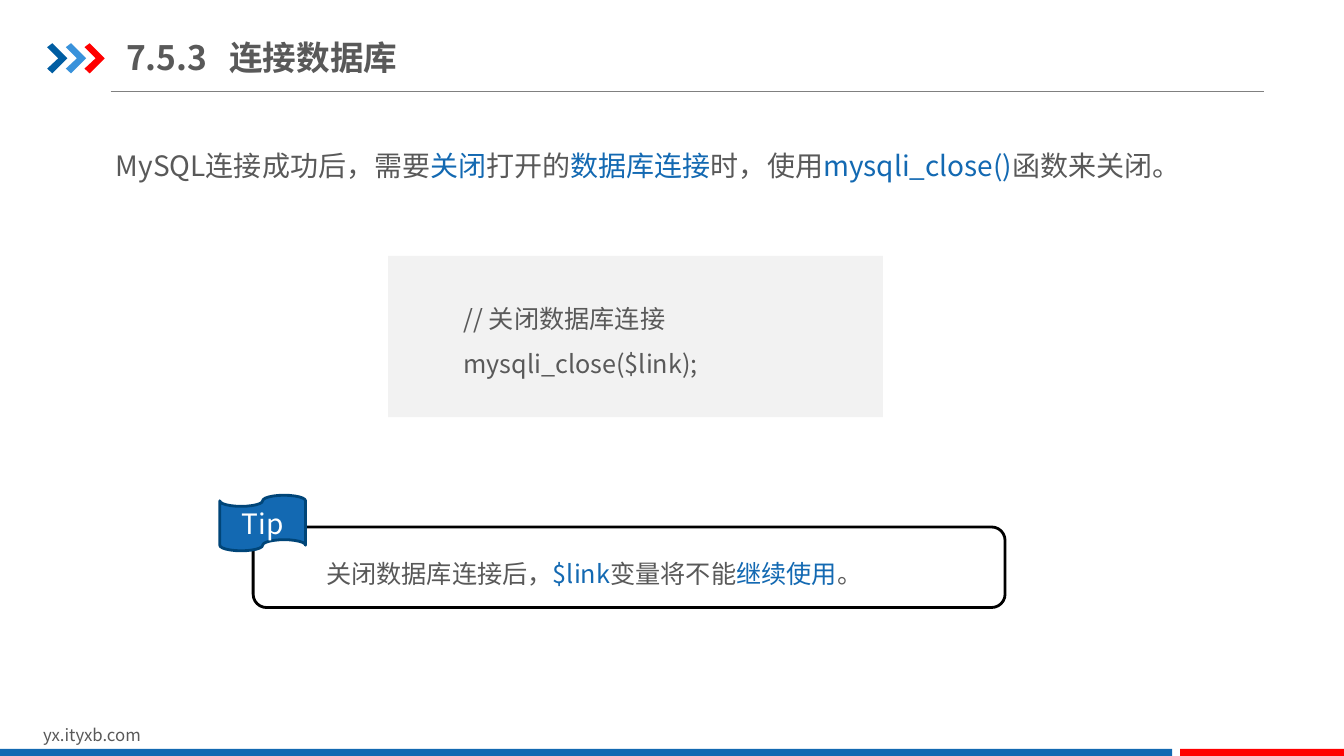
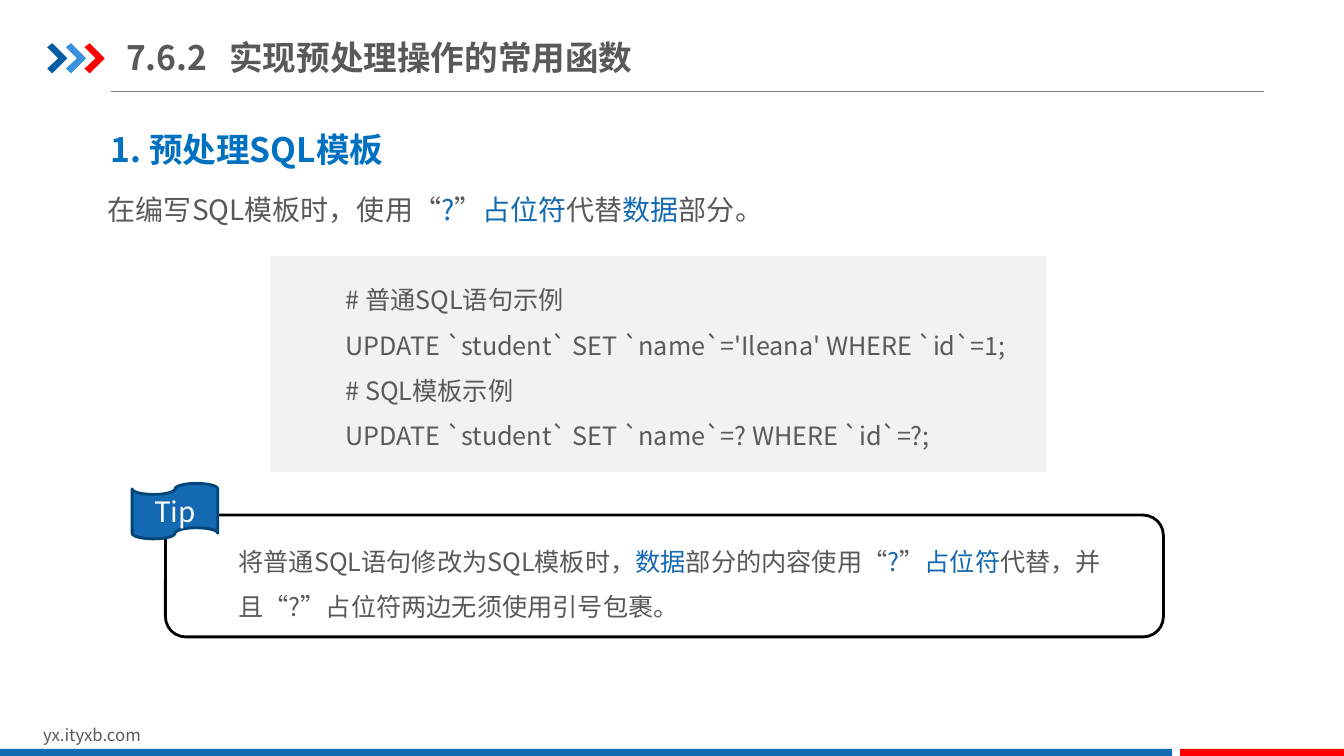
from dataclasses import dataclass
from lxml import etree
from pptx import Presentation
from pptx.dml.color import RGBColor
from pptx.enum.shapes import MSO_CONNECTOR, MSO_SHAPE
from pptx.enum.text import MSO_ANCHOR, MSO_AUTO_SIZE, PP_ALIGN
from pptx.oxml.ns import qn
from pptx.util import Cm, Pt


@dataclass(frozen=True)
class Theme:
    font: str = "Noto Sans CJK SC"
    text: str = "595959"
    accent: str = "1369B2"
    heading: str = "0070C0"
    navy: str = "005DA2"
    sky: str = "3992DB"
    red: str = "FF0000"
    panel: str = "F2F2F2"
    rule: str = "808080"
    tip_line: str = "000000"
    flag_line: str = "004578"
    white: str = "FFFFFF"
    title_size: int = 24
    body_size: int = 20
    code_size: int = 18
    footer_size: int = 12


@dataclass(frozen=True)
class Box:
    left: float
    top: float
    width: float
    height: float

    def lengths(self):
        return [Cm(value) for value in (self.left, self.top, self.width, self.height)]


THEME = Theme()
SLIDE_WIDTH, SLIDE_HEIGHT = 33.87, 19.05
LINE_HEIGHT, TEXT_PADDING = 1.16, 0.25
CODE_INDENT = 1.65
CHEVRON = [(0, 0.1), (0.13, 0), (0.51, 0.38), (0.13, 0.76), (0, 0.64), (0.28, 0.38)]


def rgb(colour):
    return RGBColor.from_string(colour)


def style_para(para, size, colour=THEME.text, bold=False, spacing=1.0):
    para.line_spacing = spacing
    font = para.font
    font.size, font.bold, font.name = Pt(size), bold, THEME.font
    font.color.rgb = rgb(colour)
    latin = para._p.pPr.find(qn("a:defRPr")).find(qn("a:latin"))
    east_asian = etree.Element(qn("a:ea"))
    east_asian.set("typeface", THEME.font)
    latin.addnext(east_asian)


def write_parts(para, parts):
    for index, part in enumerate(parts):
        span = para.add_run()
        span.text = part
        if index % 2:
            span.font.color.rgb = rgb(THEME.accent)


def add_text(page, box, lines, size, indent=0, **style):
    frame = page.shapes.add_textbox(*box.lengths()).text_frame
    frame.word_wrap = True
    for index, parts in enumerate(lines):
        para = frame.add_paragraph() if index else frame.paragraphs[0]
        if indent:
            para._p.get_or_add_pPr().set("indent", str(Cm(indent)))
        write_parts(para, parts)
        style_para(para, size, **style)


def paint(shape, fill=None, line=None):
    shape.shadow.inherit = False
    if fill:
        shape.fill.solid()
        shape.fill.fore_color.rgb = rgb(fill)
    else:
        shape.fill.background()
    if line:
        shape.line.color.rgb = rgb(line)
        shape.line.width = Pt(2)
    else:
        shape.line.fill.background()


def add_block(page, kind, box, fill=None, line=None):
    shape = page.shapes.add_shape(kind, *box.lengths())
    paint(shape, fill, line)
    return shape


def add_chevrons(page, left, top, pitch):
    group = page.shapes.add_group_shape()
    points = [(Cm(x), Cm(y)) for x, y in CHEVRON]
    for index, colour in enumerate((THEME.navy, THEME.sky, THEME.red)):
        builder = group.shapes.build_freeform(*points[0])
        builder.add_line_segments(points[1:], close=True)
        paint(builder.convert_to_shape(Cm(left + index * pitch), Cm(top)), colour)


def add_header(page, box, number, title):
    rule = page.shapes.add_connector(
        MSO_CONNECTOR.STRAIGHT, Cm(2.79), Cm(2.31), Cm(31.85), Cm(2.31)
    )
    rule.line.color.rgb = rgb(THEME.rule)
    rule.line.width = Pt(0.75)
    etree.SubElement(rule._element.spPr, qn("a:effectLst"))
    add_chevrons(page, 1.19, 1.09, 0.47)

    holder = page.shapes.title
    holder.left, holder.top, holder.width, holder.height = box.lengths()
    frame = holder.text_frame
    frame.auto_size = MSO_AUTO_SIZE.NONE
    frame.word_wrap = True
    frame.vertical_anchor = MSO_ANCHOR.MIDDLE
    frame.margin_left = frame.margin_right = 0
    frame.margin_top = frame.margin_bottom = Cm(0.18)
    para = frame.paragraphs[0]
    para.alignment = PP_ALIGN.LEFT
    write_parts(para, [f"{number}\t{title}"])
    tabs = etree.SubElement(para._p.get_or_add_pPr(), qn("a:tabLst"))
    tab = etree.SubElement(tabs, qn("a:tab"))
    tab.set("pos", str(Cm(2.6)))
    tab.set("algn", "l")
    style_para(para, THEME.title_size, bold=True)


def add_footer(page):
    add_text(page, Box(0.84, 18.14, 8.08, 0.76), [["yx.ityxb.com"]], THEME.footer_size)
    top, height, split, gap = 18.87, 0.18, 29.54, 0.2
    right = split + gap
    bands = (
        (0, split, THEME.accent),
        (right, SLIDE_WIDTH - right, THEME.red),
    )
    for left, width, colour in bands:
        add_block(page, MSO_SHAPE.RECTANGLE, Box(left, top, width, height), colour)


def add_code(page, box, lines):
    add_block(page, MSO_SHAPE.RECTANGLE, box, THEME.panel)
    height = LINE_HEIGHT * len(lines) + TEXT_PADDING
    text_box = Box(
        box.left + CODE_INDENT,
        box.top + (box.height - height) / 2 - 0.06,
        box.width - CODE_INDENT,
        height,
    )
    add_text(page, text_box, [[line] for line in lines], THEME.code_size, spacing=1.5)


def add_tip(page, box, parts):
    text_box = Box(box.left + 1.59, box.top + 0.28, box.width - 2.18, box.height - 0.7)
    add_text(page, text_box, [parts], THEME.code_size, spacing=1.5)
    add_block(page, MSO_SHAPE.ROUNDED_RECTANGLE, box, line=THEME.tip_line)
    flag = add_block(
        page,
        MSO_SHAPE.FLOWCHART_PUNCHED_TAPE,
        Box(box.left - 0.84, box.top - 0.8, 2.16, 1.4),
        THEME.accent,
        THEME.flag_line,
    )
    flag.text_frame.vertical_anchor = MSO_ANCHOR.MIDDLE
    para = flag.text_frame.paragraphs[0]
    para.alignment = PP_ALIGN.CENTER
    write_parts(para, ["Tip"])
    style_para(para, THEME.body_size, THEME.white)


def add_page(deck, number, title, title_width):
    page = deck.slides.add_slide(deck.slide_layouts[5])
    add_header(page, Box(3.18, 0.74, title_width, 1.4), number, title)
    add_footer(page)
    return page


def build_connection_page(deck):
    page = add_page(deck, "7.5.3", "连接数据库", 10.82)
    intro = [
        "MySQL连接成功后，需要", "关闭", "打开的", "数据库连接",
        "时，使用", "mysqli_close()", "函数来关闭。",
    ]
    add_text(
        page, Box(1.93, 3.2, 29.41, 1.4), [intro], THEME.body_size,
        indent=0.74, spacing=1.5,
    )
    add_code(
        page, Box(9.78, 6.45, 12.47, 4.06),
        ["// 关闭数据库连接", "mysqli_close($link);"],
    )
    add_tip(
        page, Box(6.38, 13.28, 18.95, 2.03),
        ["关闭数据库连接后，", "$link", "变量将不能", "继续使用", "。"],
    )


def build_template_page(deck):
    page = add_page(deck, "7.6.2", "实现预处理操作的常用函数", 13.36)
    intro = [
        "在编写SQL模板时，使用“", "?", "”", "占位符", "代替", "数据", "部分。",
    ]
    add_text(
        page, Box(1.73, 4.72, 27.2, 1.12), [intro], THEME.body_size, indent=0.74
    )
    add_text(
        page, Box(2.54, 3.12, 11.13, 1.27), [["1. 预处理SQL模板"]],
        THEME.title_size, colour=THEME.heading, bold=True,
    )
    add_code(
        page, Box(6.81, 6.45, 19.56, 5.44),
        [
            "# 普通SQL语句示例",
            "UPDATE `student` SET `name`='Ileana' WHERE `id`=1;",
            "# SQL模板示例",
            "UPDATE `student` SET `name`=? WHERE `id`=?;",
        ],
    )
    add_tip(
        page, Box(4.17, 12.98, 25.15, 3.07),
        [
            "将普通SQL语句修改为SQL模板时，", "数据", "部分的内容使用“", "?", "”",
            "占位符", "代替，并且“?”占位符两边无须使用引号包裹。",
        ],
    )


def main():
    deck = Presentation()
    deck.slide_width, deck.slide_height = Cm(SLIDE_WIDTH), Cm(SLIDE_HEIGHT)
    build_connection_page(deck)
    build_template_page(deck)
    deck.save("out.pptx")


if __name__ == "__main__":
    main()
